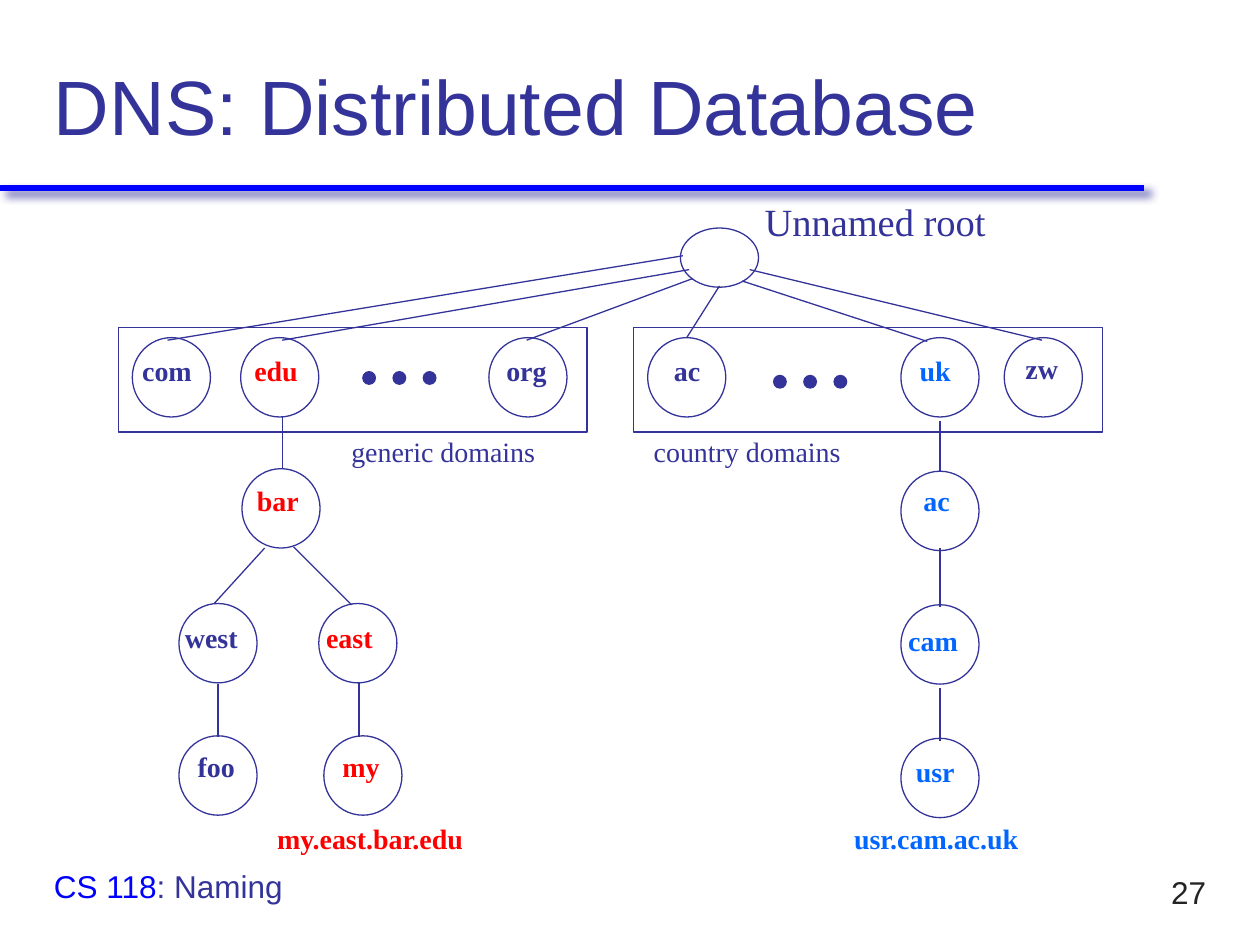
from pptx import Presentation, util as u
from pptx.dml.color import RGBColor
from pptx.enum import shapes, text
from pptx.oxml import parse_xml
from pptx.oxml.ns import nsdecls

PX = 9144
HUE = {"navy": "333399", "red": "FF0000", "sky": "0066FF", "blue": "0000FF", "dark": "232323"}
SERIF, SANS = "Times New Roman", "Arial"
OVAL, RECT = shapes.MSO_SHAPE.OVAL, shapes.MSO_SHAPE.RECTANGLE
DISC = (62, 63)

NODES = [
    ("com", "navy", (105, 268), (103, 276, 69)),
    ("edu", "red", (191, 268), (192, 276, 63)),
    ("org", "navy", (388, 268), (392, 276, 60)),
    ("ac", "navy", (514, 268), (525, 276, 46)),
    ("uk", "sky", (715, 268), (720, 276, 51)),
    ("zw", "navy", (797, 268), (804, 274, 53)),
    ("bar", "red", (192, 372), (194, 379, 62)),
    ("west", "navy", (142, 479), (137, 488, 73)),
    ("east", "red", (253, 479), (249, 488, 66)),
    ("foo", "navy", (142, 584), (147, 590, 57)),
    ("my", "red", (257, 584), (262, 590, 57)),
    ("ac", "sky", (715, 374), (723, 379, 46)),
    ("cam", "sky", (715, 480), (711, 490, 69)),
    ("usr", "sky", (715, 586), (717, 594, 59)),
]
GROUPS = [(94, 260, 372, 83), (503, 260, 372, 83)]
DOTS = [(288, 295), (614, 298)]
ROOT = (540, 181, 62, 47)
NOTES = [
    ("Unnamed root", "navy", 22, False, (597, 152, 198, 47)),
    ("generic domains", "navy", 16, False, (269, 340, 203, 43)),
    ("country domains", "navy", 16, False, (509, 340, 206, 43)),
    ("my.east.bar.edu", "red", 16, True, (210, 647, 209, 43)),
    ("usr.cam.ac.uk", "sky", 16, True, (668, 647, 186, 43)),
]
EDGES = [
    (542, 203, 133, 270), (547, 214, 224, 270), (550, 221, 418, 270),
    (571, 227, 545, 268), (595, 214, 827, 270), (589, 223, 736, 271),
    (224, 331, 224, 372), (210, 435, 170, 479), (233, 434, 279, 480),
    (173, 543, 173, 585), (285, 541, 285, 585),
    (746, 334, 746, 374), (746, 435, 746, 482), (746, 546, 746, 588),
]
SHADE = (
    f'<a:effectLst {nsdecls("a")}><a:outerShdw blurRad="63500" dist="53340" dir="2700000" '
    f'algn="ctr" rotWithShape="0"><a:srgbClr val="{HUE["navy"]}"><a:alpha val="75000"/>'
    '</a:srgbClr></a:outerShdw></a:effectLst>'
)
PLAIN = f'<a:effectLst {nsdecls("a")}/>'

deck = Presentation()
deck.slide_width, deck.slide_height = 1000 * PX, 750 * PX
slide = deck.slides.add_slide(deck.slide_layouts[6])


def emu(box):
    return [n * PX for n in box]


def tint(name):
    return RGBColor.from_string(HUE[name])


def draw(kind, box, fill=None):
    shape = slide.shapes.add_shape(kind, *emu(box))
    shape.shadow.inherit = False
    if fill:
        shape.fill.solid()
        shape.fill.fore_color.rgb = tint(fill)
    else:
        shape.fill.background()
    shape.line.color.rgb = tint("navy")
    shape.line.width = u.Pt(0.75)


def link(ends, hue="navy", width=0.75, effect=PLAIN):
    line = slide.shapes.add_connector(shapes.MSO_CONNECTOR.STRAIGHT, *emu(ends))
    line.line.color.rgb = tint(hue)
    line.line.width = u.Pt(width)
    line._element.spPr.append(parse_xml(effect))


def write(runs, size, box, face=SERIF, bold=False, anchor="TOP", align="LEFT"):
    frame = slide.shapes.add_textbox(*emu(box)).text_frame
    frame.word_wrap = True
    frame.vertical_anchor = text.MSO_ANCHOR[anchor]
    para = frame.paragraphs[0]
    para.alignment = text.PP_ALIGN[align]
    para.font.name, para.font.size, para.font.bold = face, u.Pt(size), bold
    if len(runs) == 1:
        para.font.color.rgb = tint(runs[0][1])
    for words, hue in runs:
        run = para.add_run()
        run.text = words
        if len(runs) > 1:
            run.font.color.rgb = tint(hue)


link((0, 149, 908, 149), "blue", 3.5, SHADE)
for box in GROUPS:
    draw(RECT, box)
draw(OVAL, ROOT)
for left, top in DOTS:
    for i in range(3):
        draw(OVAL, (left + 24 * i, top, 10, 10), "navy")
for ends in EDGES:
    link(ends)
for name, hue, spot, (left, top, width) in NODES:
    draw(OVAL, spot + DISC)
    write([(name, hue)], 16, (left, top, width, 43), bold=True)
for words, hue, size, bold, box in NOTES:
    write([(words, hue)], size, box, bold=bold)

write([("DNS: Distributed Database", "navy")], 44, (33, 0, 933, 125), SANS, anchor="BOTTOM")
write([("27", "dark")], 18, (900, 683, 67, 50), SANS, anchor="MIDDLE", align="RIGHT")
write([("CS 118", "blue"), (": Naming", "navy")], 18, (33, 683, 583, 50), SANS)

deck.save("out.pptx")
